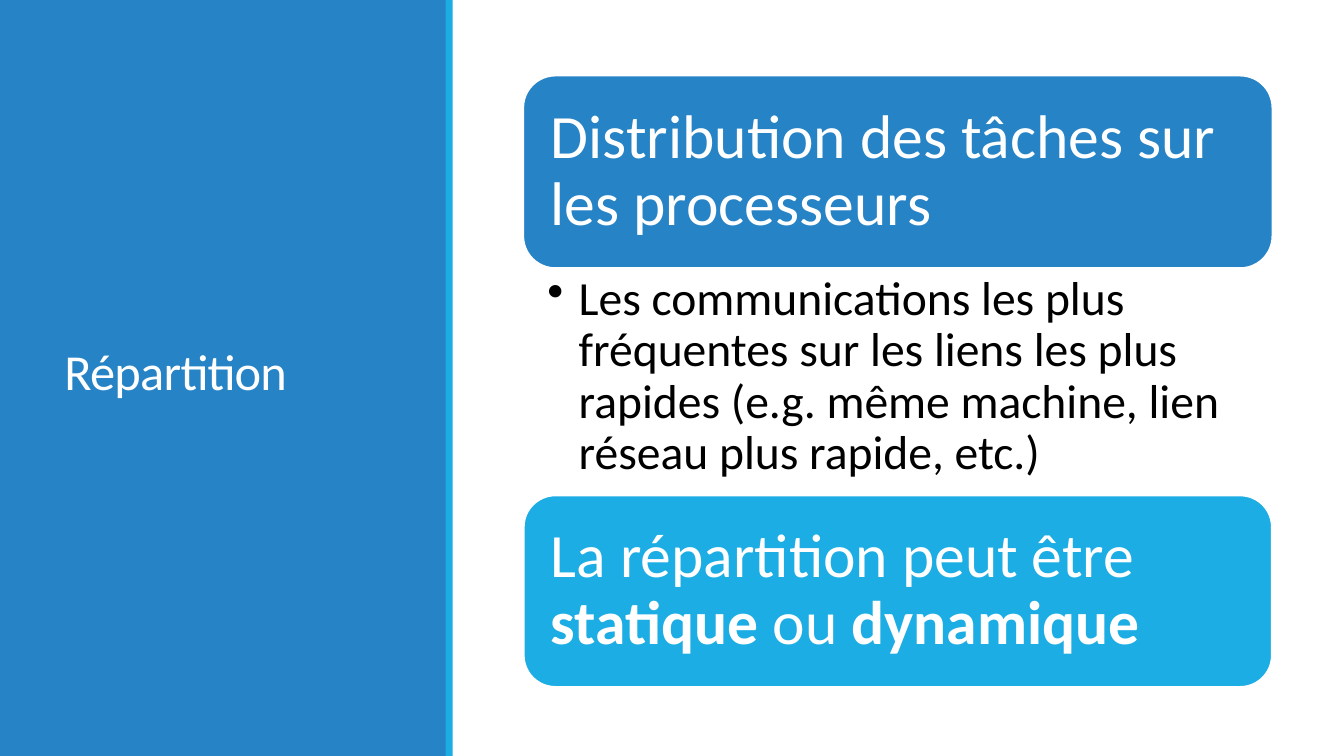
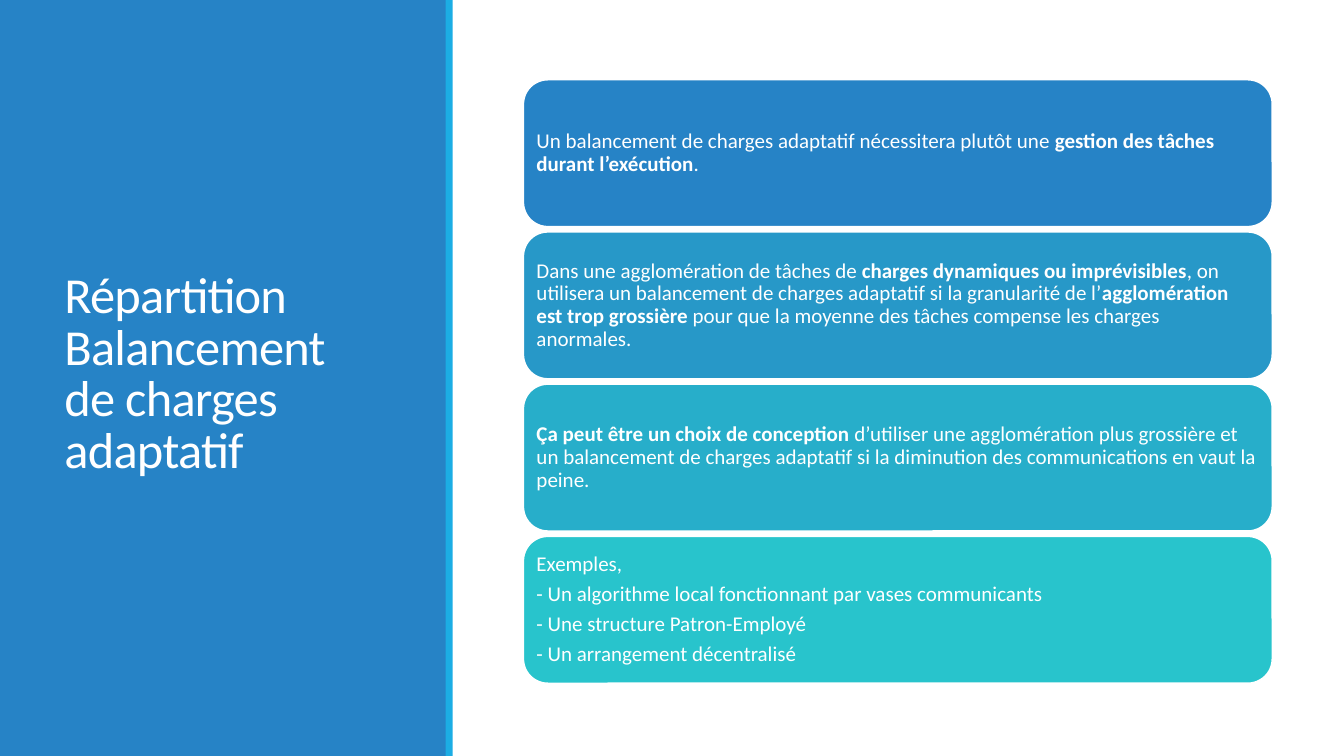
import pptx
import pptx.dml.color
import pptx.enum.shapes
import pptx.enum.text
import pptx.oxml.ns
import pptx.util
from lxml import etree

PX = 9144  # EMU per px, 100 px to the inch
SLIDE_W, SLIDE_H = 1333, 750
FONT = "Calibri"
BLUE, SKY, WHITE, BLACK = "2683C6", "1CADE4", "FFFFFF", "000000"
CARD_LEFT, CARD_W = 519, 743

# Text between ** marks is bold.
DISTRIBUTION = {
    "title": "Répartition",
    "top": 75, "card_height": 191, "gap": 225, "size": 44, "inset": 18,
    "cards": [
        (BLUE, 1.25, ["Distribution des tâches sur les processeurs"]),
        (SKY, 2, ["La répartition peut être **statique** ou **dynamique**"]),
    ],
    "detail": "Les communications les plus fréquentes sur les liens les plus rapides "
              "(e.g. même machine, lien réseau plus rapide, etc.)",
}
BALANCING = {
    "title": "Répartition\nBalancement de charges adaptatif",
    "top": 79, "card_height": 146, "gap": 5, "size": 15, "inset": 6,
    "cards": [
        (BLUE, 1.25, ["Un balancement de charges adaptatif nécessitera plutôt une "
                      "**gestion des tâches durant l’exécution**."]),
        ("2798C8", 1.25, ["Dans une agglomération de tâches de **charges dynamiques ou "
                          "imprévisibles**, on utilisera un balancement de charges adaptatif "
                          "si la granularité de l’**agglomération est trop grossière** pour "
                          "que la moyenne des tâches compense les charges anormales."]),
        ("27AECA", 1.25, ["**Ça peut être un choix de conception** d’utiliser une "
                          "agglomération plus grossière et un balancement de charges "
                          "adaptatif si la diminution des communications en vaut la peine."]),
        ("28C4CC", 1.25, ["Exemples,",
                          "- Un algorithme local fonctionnant par vases communicants",
                          "- Une structure Patron-Employé",
                          "- Un arrangement décentralisé"]),
    ],
}


def rgb(value):
    return pptx.dml.color.RGBColor.from_string(value)


def box(*lengths):
    return [length * PX for length in lengths]


def add_block(slide, kind, place, fill, outline=None):
    block = slide.shapes.add_shape(kind, *box(*place))
    block.shadow.inherit = False
    block.fill.solid()
    block.fill.fore_color.rgb = rgb(fill)
    if outline:
        block.line.color.rgb = rgb(WHITE)
        block.line.width = pptx.util.Pt(outline)
    else:
        block.line.fill.background()
    return block


def set_frame(frame, anchor, insets):
    frame.word_wrap = True
    frame.vertical_anchor = anchor
    (frame.margin_left, frame.margin_top,
     frame.margin_right, frame.margin_bottom) = box(*insets)


def format_paragraph(paragraph, size, color, line_spacing, after=0):
    """Style the paragraph and its runs; after is a share of the text size."""
    paragraph.alignment = pptx.enum.text.PP_ALIGN.LEFT
    paragraph.line_spacing = line_spacing
    paragraph.space_after = pptx.util.Pt(round(size * after, 2))
    for run in paragraph.runs:
        run.font.name = FONT
        run.font.size = pptx.util.Pt(size)
        run.font.color.rgb = rgb(color)


def add_title(slide, title):
    rect = pptx.enum.shapes.MSO_SHAPE.RECTANGLE
    add_block(slide, rect, (0, 0, 443, SLIDE_H), BLUE)
    add_block(slide, rect, (442, 0, 7, SLIDE_H), SKY)
    frame = slide.shapes.add_textbox(*box(54, 57, 337, 631)).text_frame
    set_frame(frame, pptx.enum.text.MSO_ANCHOR.MIDDLE, (10, 5, 10, 5))
    heading = frame.paragraphs[0]
    heading.text = title
    format_paragraph(heading, 36, WHITE, 0.85)
    for run in heading.runs:
        run.font._element.set("spc", "-50")


def add_card(slide, place, fill, outline, lines, size, inset):
    card = add_block(slide, pptx.enum.shapes.MSO_SHAPE.ROUNDED_RECTANGLE,
                     place, fill, outline)
    frame = card.text_frame
    set_frame(frame, pptx.enum.text.MSO_ANCHOR.MIDDLE, [inset] * 4)
    for number, line in enumerate(lines):
        paragraph = frame.add_paragraph() if number else frame.paragraphs[0]
        for part, words in enumerate(line.split("**")):
            if words:
                run = paragraph.add_run()
                run.text = words
                run.font.bold = part % 2 == 1
        format_paragraph(paragraph, size, WHITE, 0.9, 0.35)


def add_detail(slide, place, detail):
    frame = slide.shapes.add_textbox(*box(*place)).text_frame
    set_frame(frame, pptx.enum.text.MSO_ANCHOR.TOP, (24, 6, 34, 6))
    point = frame.paragraphs[0]
    point.text = detail
    point.level = 1
    format_paragraph(point, 34, BLACK, 0.9, 0.2)
    properties = point._p.get_or_add_pPr()
    properties.set("marL", str(31 * PX))
    properties.set("indent", str(-31 * PX))
    bullet = etree.SubElement(properties, pptx.oxml.ns.qn("a:buChar"))
    bullet.set("char", "•")


def add_slide(deck, content):
    slide = deck.slides.add_slide(deck.slide_layouts[6])
    add_title(slide, content["title"])
    height, gap = content["card_height"], content["gap"]
    for row, (fill, outline, lines) in enumerate(content["cards"]):
        top = content["top"] + row * (height + gap)
        add_card(slide, (CARD_LEFT, top, CARD_W, height), fill, outline, lines,
                 content["size"], content["inset"])
    if "detail" in content:
        add_detail(slide, (CARD_LEFT, content["top"] + height, CARD_W, gap),
                   content["detail"])


def main():
    deck = pptx.Presentation()
    deck.slide_width, deck.slide_height = box(SLIDE_W, SLIDE_H)
    for content in (DISTRIBUTION, BALANCING):
        add_slide(deck, content)
    deck.save("out.pptx")


if __name__ == "__main__":
    main()
